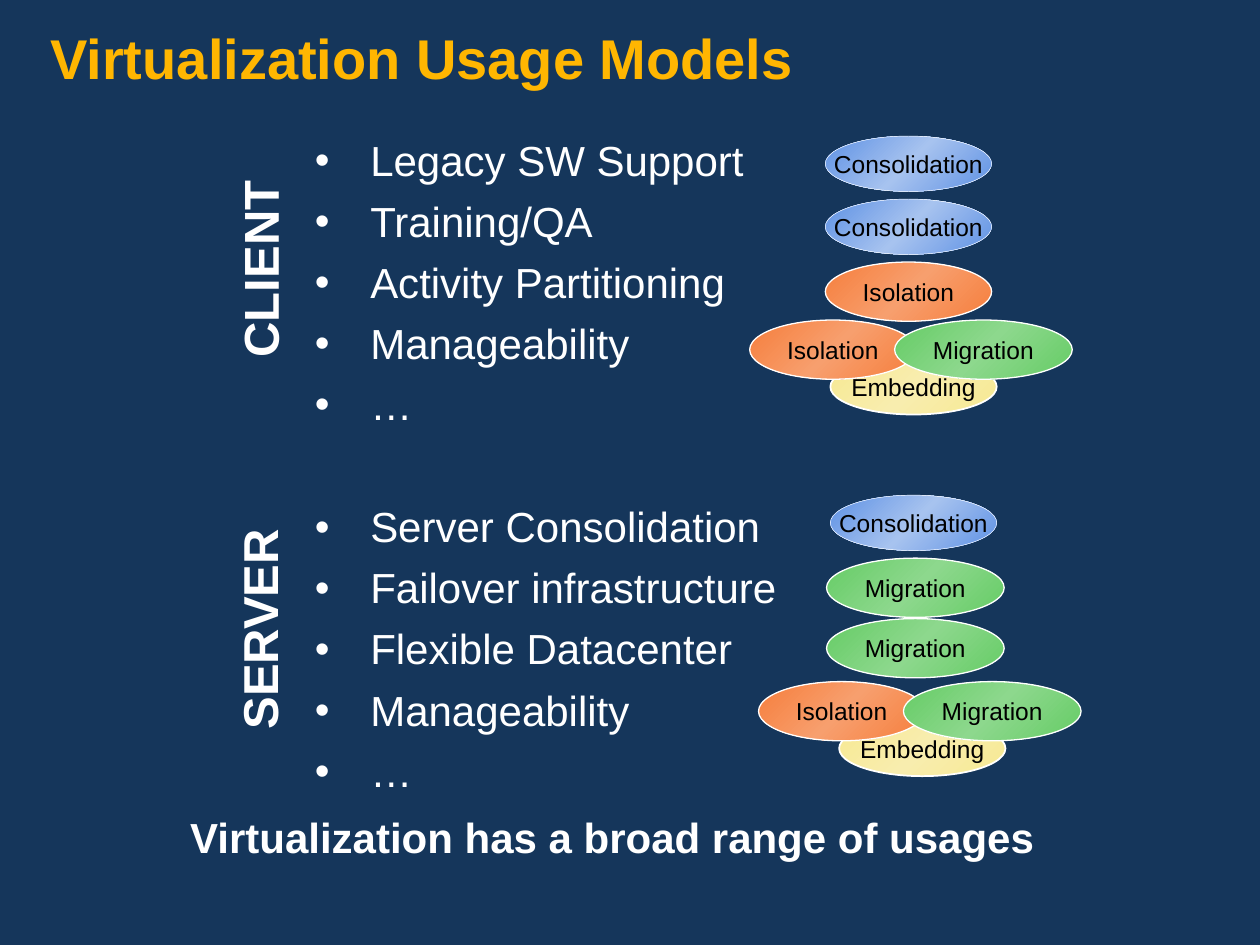
from lxml import etree
from pptx import Presentation
from pptx.dml.color import RGBColor
from pptx.enum.shapes import MSO_SHAPE
from pptx.enum.text import MSO_ANCHOR, PP_ALIGN
from pptx.oxml.ns import qn
from pptx.util import Inches, Pt

OVAL, ROUNDED = MSO_SHAPE.OVAL, MSO_SHAPE.ROUNDED_RECTANGLE
TOP, MIDDLE = MSO_ANCHOR.TOP, MSO_ANCHOR.MIDDLE
LEFT, CENTER = PP_ALIGN.LEFT, PP_ALIGN.CENTER

THEME = {
    "font": "Arial",
    "background": "15365B", "title": "FFB601", "light": "FFFFFF", "dark": "000000",
    "title_size": 32, "side_size": 28, "body_size": 24, "label_size": 14,
}

TITLE = "Virtualization Usage Models"
TAKEAWAY = "Virtualization has a broad range of usages"

BENEFITS = {
    "Consolidation": {"size": (1.32, 0.44), "edge": "5E91E4", "glow": "A7C3EF", "line": 0.25},
    "Isolation": {"size": (1.32, 0.47), "edge": "F67E3C", "glow": "F79F6E", "line": 0.75},
    "Migration": {"size": (1.41, 0.47), "edge": "66CC66", "glow": "8DD88D", "line": 0.75},
    "Embedding": {"size": (1.32, 0.44), "edge": "F7E993", "glow": "F8EDAE", "line": 1},
}

MANAGEABILITY = [("Embedding", 0.64, 0.31), ("Isolation", 0, 0), ("Migration", 1.15, 0)]

SECTIONS = [
    {
        "side": "CLIENT", "side_box": (1.26, 1.85, 1.6, 0.57), "list_top": 1.06,
        "usages": ["Legacy SW Support", "Training/QA", "Activity Partitioning", "Manageability", "…"],
        "benefits": [("Consolidation", 6.55, 1.08), ("Consolidation", 6.55, 1.58),
                     ("Isolation", 6.55, 2.08)],
        "cluster": (5.95, 2.54),
    },
    {
        "side": "SERVER", "side_box": (1.16, 4.71, 1.79, 0.57), "list_top": 3.97,
        "usages": ["Server Consolidation", "Failover infrastructure", "Flexible Datacenter",
                   "Manageability", "…"],
        "benefits": [("Consolidation", 6.59, 3.93), ("Migration", 6.56, 4.43),
                     ("Migration", 6.56, 4.91)],
        "cluster": (6.02, 5.41),
    },
]


def color(name):
    return RGBColor.from_string(THEME.get(name, name))


def inches(box):
    return [Inches(length) for length in box]


def add_bullet(paragraph, indent):
    properties = paragraph._p.get_or_add_pPr()
    properties.set("marL", str(Inches(indent)))
    properties.set("indent", str(-Inches(indent)))
    etree.SubElement(properties, qn("a:buFont"), typeface=THEME["font"])
    etree.SubElement(properties, qn("a:buChar"), char="•")


def write(shape, lines, size, ink="light", bold=False, align=LEFT, anchor=TOP, wrap=True,
          margins=(0.1, 0.05), spacing=None, before=0, bullet_indent=None):
    frame = shape.text_frame
    frame.word_wrap, frame.vertical_anchor = wrap, anchor
    frame.margin_left = frame.margin_right = Inches(margins[0])
    frame.margin_top, frame.margin_bottom = Inches(margins[1]), Inches(0.05)
    for index, line in enumerate(lines):
        paragraph = frame.add_paragraph() if index else frame.paragraphs[0]
        paragraph.alignment = align
        paragraph.line_spacing = spacing
        paragraph.space_before = Pt(before)
        if bullet_indent:
            add_bullet(paragraph, bullet_indent)
        run = paragraph.add_run()
        run.text = line
        run.font.name, run.font.size, run.font.bold = THEME["font"], Pt(THEME[size]), bold
        run.font.color.rgb = color(ink)


def fill_glow(shape, edge, glow):
    shape.fill.gradient()
    shape.fill.gradient_angle = 135
    stops = shape._element.spPr.find(".//" + qn("a:gsLst"))
    stops.clear()
    for position, shade in ((0, edge), (50000, glow), (100000, edge)):
        stop = etree.SubElement(stops, qn("a:gs"), pos=str(position))
        etree.SubElement(stop, qn("a:srgbClr"), val=shade)


def add_benefit(shapes, benefit, left, top):
    style = BENEFITS[benefit]
    oval = shapes.add_shape(OVAL, *inches((left, top, *style["size"])))
    oval.shadow.inherit = False
    fill_glow(oval, style["edge"], style["glow"])
    oval.line.color.rgb = color("light")
    oval.line.width = Pt(style["line"])
    write(oval, [benefit], "label_size", ink="dark", align=CENTER, anchor=MIDDLE, wrap=False)


def add_section(shapes, section):
    usages = shapes.add_textbox(*inches((2.4, section["list_top"], 4.52, 2.6)))
    write(usages, section["usages"], "body_size", spacing=0.9, before=9, bullet_indent=0.44)
    for benefit in section["benefits"]:
        add_benefit(shapes, *benefit)
    left, top = section["cluster"]
    cluster = shapes.add_group_shape()
    for benefit, across, down in MANAGEABILITY:
        add_benefit(cluster.shapes, benefit, left + across, top + down)
    side = shapes.add_textbox(*inches(section["side_box"]))
    side.rotation = 270
    write(side, [section["side"]], "side_size", bold=True, align=CENTER, wrap=False)


def main():
    """Build the virtualization usage slide."""
    deck = Presentation()
    deck.slide_width, deck.slide_height = Inches(10), Inches(7.5)
    slide = deck.slides.add_slide(deck.slide_layouts[6])
    slide.background.fill.solid()
    slide.background.fill.fore_color.rgb = color("background")
    shapes = slide.shapes

    heading = shapes.add_textbox(*inches((0, 0, 10, 0.75)))
    write(heading, [TITLE], "title_size", ink="title", bold=True, margins=(0.4, 0.25), spacing=0.9)
    for section in SECTIONS:
        add_section(shapes, section)

    takeaway = shapes.add_shape(ROUNDED, *inches((1.28, 6.46, 7.16, 0.44)))
    takeaway.shadow.inherit = False
    takeaway.fill.background()
    takeaway.line.fill.background()
    write(takeaway, [TAKEAWAY], "body_size", bold=True, align=CENTER, spacing=0.75, before=9)
    deck.save("out.pptx")


if __name__ == "__main__":
    main()
